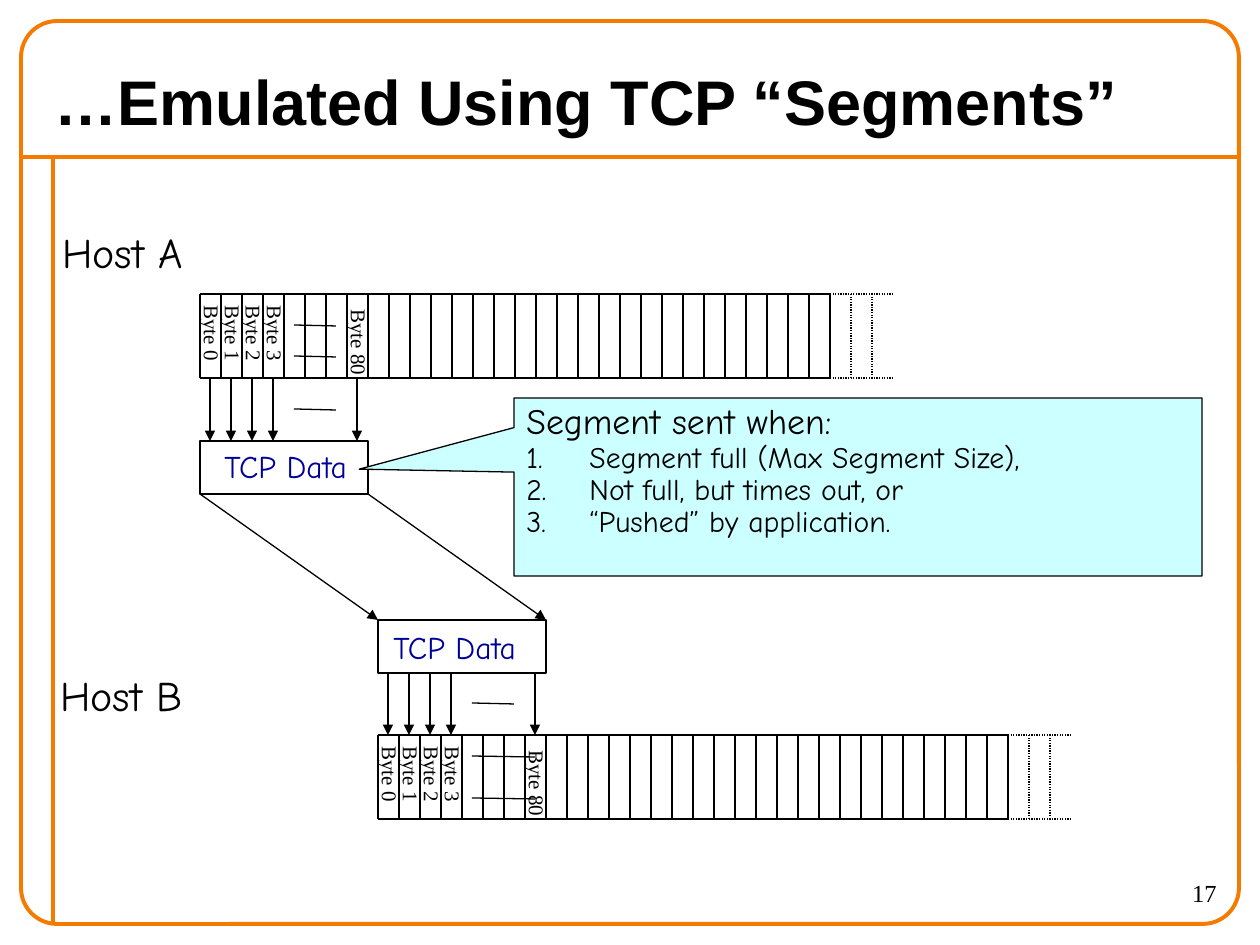
"""Build the slide on emulating a byte stream with TCP segments."""
from dataclasses import dataclass

from lxml.etree import SubElement
from pptx import Presentation
from pptx.dml.color import RGBColor
from pptx.enum.dml import MSO_LINE_DASH_STYLE as DASH
from pptx.enum.shapes import MSO_CONNECTOR, MSO_SHAPE as SHAPE
from pptx.enum.text import MSO_ANCHOR as ANCHOR, PP_ALIGN as ALIGN
from pptx.oxml.ns import qn
from pptx.util import Pt

EMU_PER_PX = 914400 / 126
BLACK = RGBColor(0x00, 0x00, 0x00)
WHITE = RGBColor(0xFF, 0xFF, 0xFF)
ORANGE = RGBColor(0xF4, 0x7A, 0x00)
NAVY = RGBColor(0x00, 0x00, 0x99)
CYAN = RGBColor(0xCC, 0xFF, 0xFF)
SERIF, COMIC, SANS = "Times New Roman", "Comic Neue", "Arial"

CELL, CELL_H = 21, 84
SOLID_CELLS, DIVIDERS, STREAM_W = 30, 33, 694
SEGMENT_W, SEGMENT_H, ARROW_H = 168, 53, 63
BYTES = {0: "Byte 0", 1: "Byte 1", 2: "Byte 2", 3: "Byte 3", 7: "Byte 80"}


@dataclass(frozen=True)
class Box:
    x: int
    y: int
    w: int
    h: int

    def emu(self) -> list[int]:
        return [px(v) for v in (self.x, self.y, self.w, self.h)]


@dataclass(frozen=True)
class Host:
    name: str
    name_box: Box
    x: int
    stream_y: int
    segment_y: int
    data_box: Box
    arrow_y: int
    gaps: tuple[tuple[int, int], ...]


HOSTS = (
    Host("Host A", Box(50, 220, 145, 63), 200, 294, 441, Box(212, 441, 150, 50),
         378, ((325, 42), (356, 42), (409, 42))),
    Host("Host B", Box(48, 663, 147, 63), 378, 735, 620, Box(381, 622, 150, 50),
         672, ((756, 63), (798, 63), (703, 42))),
)


def px(value: int) -> int:
    return round(value * EMU_PER_PX)


def add_line(s, x1: int, y1: int, x2: int, y2: int, color: RGBColor = BLACK,
             width: float = 0.75, dashed: bool = False, arrow: bool = False) -> None:
    line = s.shapes.add_connector(MSO_CONNECTOR.STRAIGHT, px(x1), px(y1), px(x2), px(y2))
    line.line.color.rgb = color
    line.line.width = Pt(width)
    if dashed:
        line.line.dash_style = DASH.ROUND_DOT
    if arrow:
        SubElement(line.line._get_or_add_ln(), qn("a:tailEnd"), type="triangle")
    SubElement(line._element.spPr, qn("a:effectLst"))


def add_shape(s, kind: SHAPE, box: Box, fill: RGBColor | None = None,
              color: RGBColor = BLACK, width: float = 0.75):
    sp = s.shapes.add_shape(kind, *box.emu())
    sp.shadow.inherit = False
    if fill is None:
        sp.fill.background()
    else:
        sp.fill.solid()
        sp.fill.fore_color.rgb = fill
    sp.line.color.rgb = color
    sp.line.width = Pt(width)
    return sp


def add_run(p, text: str, size: float, font: str, color: RGBColor = BLACK,
            bold: bool = False) -> None:
    r = p.add_run()
    r.text = text
    r.font.size = Pt(size)
    r.font.name = font
    r.font.bold = bold
    r.font.color.rgb = color


def add_text(s, box: Box, text: str, size: float, font: str, color: RGBColor = BLACK,
             align: ALIGN = ALIGN.LEFT, rotation: float = 0, wrap: bool = False) -> None:
    sp = s.shapes.add_textbox(*box.emu())
    sp.rotation = rotation
    sp.text_frame.word_wrap = wrap
    p = sp.text_frame.paragraphs[0]
    p.alignment = align
    add_run(p, text, size, font, color)


def add_frame(s) -> None:
    add_line(s, 21, 157, 1239, 157, ORANGE, 2.25)
    add_line(s, 53, 157, 53, 924, ORANGE, 2.25)
    frame = add_shape(s, SHAPE.ROUNDED_RECTANGLE, Box(21, 21, 1218, 903), None, ORANGE, 2.25)
    frame.adjustments[0] = 0.04
    add_text(s, Box(1103, 872, 126, 53), "17", 14, SERIF, align=ALIGN.RIGHT, wrap=True)


def set_title(s) -> None:
    title = s.shapes.title
    title.left, title.top, title.width, title.height = Box(42, 53, 1111, 94).emu()
    title.text_frame.vertical_anchor = ANCHOR.MIDDLE
    p = title.text_frame.paragraphs[0]
    p.alignment = ALIGN.LEFT
    add_run(p, "…Emulated Using TCP “Segments”", 36, SANS, bold=True)


def add_stream(s, host: Host) -> None:
    top, bottom = host.stream_y, host.stream_y + CELL_H
    solid_end = host.x + SOLID_CELLS * CELL
    for y in (top, bottom):
        add_line(s, host.x, y, solid_end, y)
        add_line(s, solid_end, y, host.x + STREAM_W, y, dashed=True)
    for i in range(DIVIDERS):
        x = host.x + i * CELL
        add_line(s, x, top, x, bottom, dashed=i > SOLID_CELLS)
    for i, label in BYTES.items():
        w, drop = (92, 49) if label == "Byte 80" else (82, 40)
        center = host.x + i * CELL + 12
        add_text(s, Box(center - w // 2, top + drop - 19, w, 38), label, 12, SERIF,
                 rotation=89.8)


def add_host(s, host: Host) -> None:
    add_text(s, host.name_box, host.name, 24, COMIC)
    add_stream(s, host)
    add_shape(s, SHAPE.RECTANGLE, Box(host.x, host.segment_y, SEGMENT_W, SEGMENT_H), WHITE)
    add_text(s, host.data_box, "TCP Data", 18, COMIC, NAVY)
    for i in BYTES:
        x = host.x + i * CELL + CELL // 2
        add_line(s, x, host.arrow_y, x, host.arrow_y + ARROW_H, arrow=True)
    for y, length in host.gaps:
        x = host.x + 94
        add_line(s, x, y, x + length, y + 1)


def add_callout(s) -> None:
    sp = add_shape(s, SHAPE.RECTANGULAR_CALLOUT, Box(514, 398, 688, 178), CYAN)
    sp.adjustments[0], sp.adjustments[1] = -0.725, -0.1
    tf = sp.text_frame
    tf.word_wrap = True
    tf.vertical_anchor = ANCHOR.TOP
    lines = ("Segment sent when:", "Segment full (Max Segment Size),",
             "Not full, but times out, or", "“Pushed” by application.")
    for i, text in enumerate(lines):
        p = tf.add_paragraph() if i else tf.paragraphs[0]
        pPr = p._p.get_or_add_pPr()
        pPr.set("marL", str(px(63)))
        pPr.set("indent", str(px(-63)))
        if i:
            SubElement(SubElement(pPr, qn("a:buClr")), qn("a:srgbClr"), val=str(BLACK))
            SubElement(pPr, qn("a:buAutoNum"), type="arabicPeriod")
        p.alignment = ALIGN.LEFT
        p.line_spacing = 0.9
        add_run(p, text, 17 if i else 20.4, COMIC)


def main() -> None:
    prs = Presentation()
    prs.slide_width, prs.slide_height = px(1260), px(945)
    s = prs.slides.add_slide(prs.slide_layouts[5])
    add_frame(s)
    set_title(s)
    for host in HOSTS:
        add_host(s, host)
    sender, receiver = HOSTS
    for dx in (0, SEGMENT_W):
        add_line(s, sender.x + dx, sender.segment_y + SEGMENT_H,
                 receiver.x + dx, receiver.segment_y, arrow=True)
    add_callout(s)
    prs.save("out.pptx")


if __name__ == "__main__":
    main()
